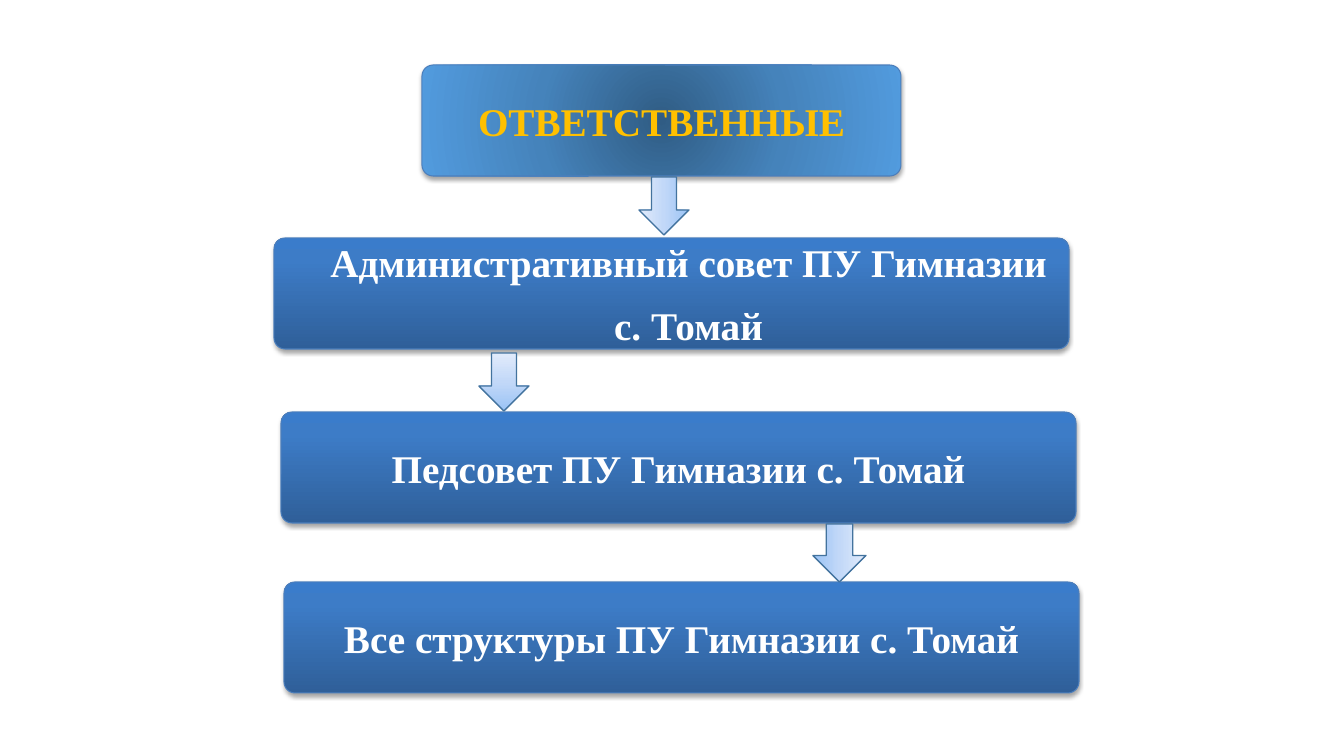
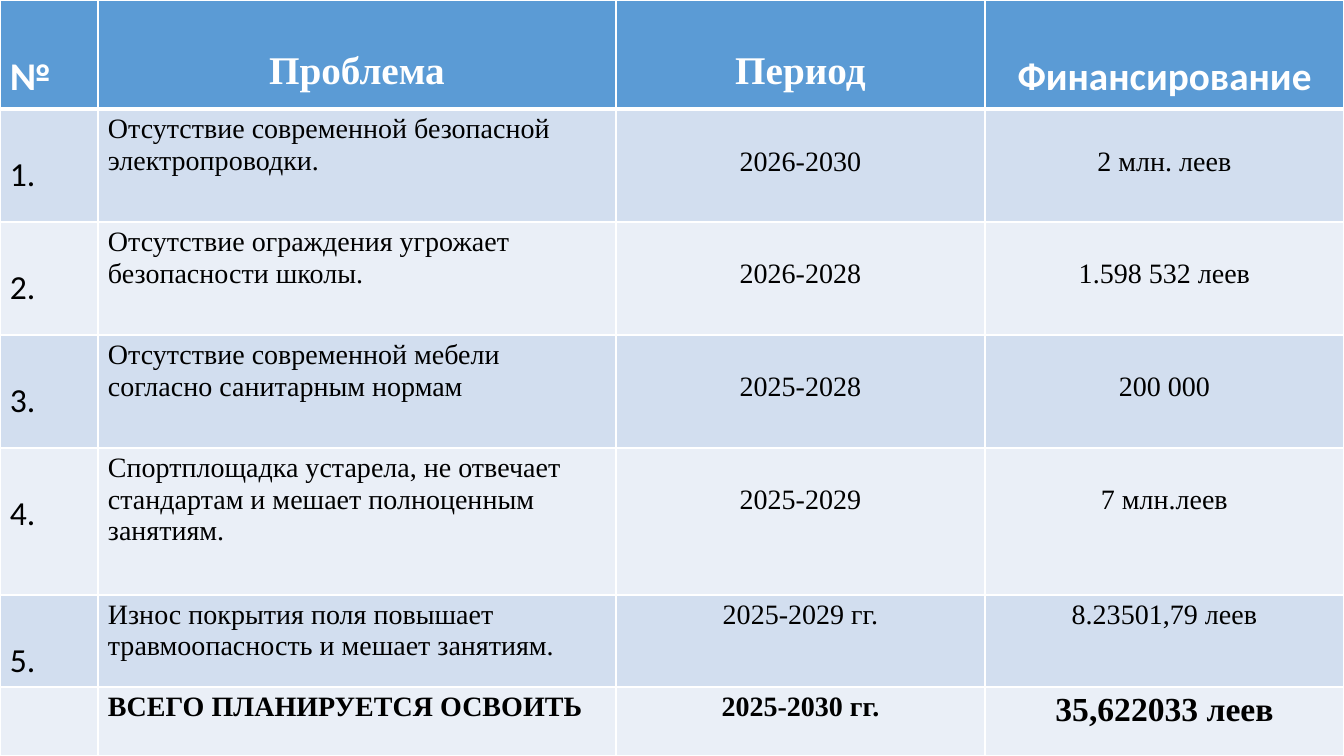
from pptx import Presentation
from pptx.dml.color import RGBColor
from pptx.enum.shapes import MSO_SHAPE
from pptx.enum.text import MSO_ANCHOR, PP_ALIGN
from pptx.oxml import parse_xml
from pptx.oxml.ns import nsdecls, qn
from pptx.util import Pt

SCALE = 12192000 / 1344
SERIF = "Times New Roman"
SANS = "Calibri"
WHITE = RGBColor(0xFF, 0xFF, 0xFF)
BLACK = RGBColor(0x00, 0x00, 0x00)
GOLD = RGBColor(0xFF, 0xC0, 0x00)
BOX_LINE = RGBColor(0x4B, 0x7E, 0xBC)
ARROW_LINE = RGBColor(0x43, 0x73, 0x9E)
HEADER_FILL = RGBColor(0x5B, 0x9B, 0xD5)
DARK_BAND = RGBColor(0xD2, 0xDE, 0xEF)
LIGHT_BAND = RGBColor(0xEA, 0xEF, 0xF7)
TITLE_STOPS = [
    (0, RGBColor(0x30, 0x5C, 0x84)),
    (50, RGBColor(0x45, 0x83, 0xBB)),
    (100, RGBColor(0x52, 0x9B, 0xDE)),
]
BOX_STOPS = [
    (0, RGBColor(0x2F, 0x5F, 0x99)),
    (80, RGBColor(0x3D, 0x7C, 0xC7)),
    (100, RGBColor(0x3A, 0x7C, 0xCB)),
]
ARROW_STOPS = [
    (0, RGBColor(0x9A, 0xC3, 0xF5)),
    (50, RGBColor(0xC2, 0xD8, 0xF8)),
    (100, RGBColor(0xE1, 0xEB, 0xFB)),
]
RADIAL = (
    '<a:path path="circle">'
    '<a:fillToRect l="50000" t="50000" r="50000" b="50000"/></a:path>'
)
HEADERS = [
    ("№", SANS, 53),
    ("Проблема", SERIF, 50),
    ("Период", SERIF, 50),
    ("Финансирование", SANS, 53),
]
PROBLEMS = [
    ("1.", "Отсутствие современной безопасной электропроводки.",
     "2026-2030", "2 млн. леев"),
    ("2.", "Отсутствие ограждения угрожает безопасности школы.",
     "2026-2028", "1.598 532 леев"),
    ("3.", "Отсутствие современной мебели согласно санитарным нормам",
     "2025-2028", "200 000"),
    ("4.", "Спортплощадка устарела, не отвечает стандартам и мешает полноценным занятиям.",
     "2025-2029", "7 млн.леев"),
    ("5.", "Износ покрытия поля повышает травмоопасность и мешает занятиям.",
     "2025-2029 гг.", "8.23501,79 леев"),
    ("", "ВСЕГО ПЛАНИРУЕТСЯ ОСВОИТЬ", "2025-2030 гг.", "35,622033 леев"),
]
COLUMN_WIDTHS = [98, 518, 369, 359]
ROW_HEIGHTS = [109, 113, 113, 113, 147, 92, 69]


def px(length):
    return round(length * SCALE)


class SlideBuilder:
    """Holds the shared style and draws elements on the current slide."""

    def __init__(self):
        self.deck = Presentation()
        self.deck.slide_width = px(1344)
        self.deck.slide_height = px(756)
        self.page = None

    def new_page(self):
        self.page = self.deck.slides.add_slide(self.deck.slide_layouts[6])

    def style(self, paragraph, size, color, bold, font=SERIF):
        for span in paragraph.runs:
            span.font.name = font
            span.font.size = Pt(size)
            span.font.bold = bold
            span.font.color.rgb = color

    def shape(self, kind, left, top, width, height, stops, angle, line, weight):
        shape = self.page.shapes.add_shape(
            kind, px(left), px(top), px(width), px(height))
        marks = "".join(
            f'<a:gs pos="{place * 1000}"><a:srgbClr val="{color}"/></a:gs>'
            for place, color in stops)
        direction = RADIAL if angle is None else (
            f'<a:lin ang="{angle * 60000}" scaled="0"/>')
        gradient = parse_xml(
            f'<a:gradFill {nsdecls("a")} rotWithShape="1">'
            f'<a:gsLst>{marks}</a:gsLst>{direction}</a:gradFill>')
        shape._element.spPr.find(qn("a:prstGeom")).addnext(gradient)
        shape.line.color.rgb = line
        shape.line.width = Pt(weight)
        shape.shadow.inherit = False
        return shape

    def box(self, left, top, width, lines, stops=BOX_STOPS, angle=270,
            color=WHITE, insets=(14, 14)):
        box = self.shape(MSO_SHAPE.ROUNDED_RECTANGLE, left, top, width, 111,
                         stops, angle, BOX_LINE, 0.75)
        box.adjustments[0] = 0.1
        box._element.spPr.find(qn("a:effectLst")).append(parse_xml(
            f'<a:outerShdw {nsdecls("a")} blurRad="{Pt(3.1)}" dist="{Pt(1.8)}"'
            ' dir="5400000" rotWithShape="0"><a:srgbClr val="000000">'
            '<a:alpha val="35000"/></a:srgbClr></a:outerShdw>'))
        frame = box.text_frame
        frame.word_wrap = True
        frame.vertical_anchor = MSO_ANCHOR.MIDDLE
        frame.margin_left, frame.margin_right = map(px, insets)
        frame.margin_top = frame.margin_bottom = 0
        frame.text = "\n".join(lines)
        for para in frame.paragraphs:
            para.alignment = PP_ALIGN.CENTER
            para.space_after = Pt(11)
            self.style(para, 28, color, True)

    def arrow(self, left, top, width, angle):
        self.shape(MSO_SHAPE.DOWN_ARROW, left, top, width, 58,
                   ARROW_STOPS, angle, ARROW_LINE, 1)

    def table(self, widths, heights):
        table = self.page.shapes.add_table(
            len(heights), len(widths), 0, 0,
            px(sum(widths)), px(sum(heights))).table
        table.horz_banding = False
        for column, width in zip(table.columns, widths):
            column.width = px(width)
        for row, height in zip(table.rows, heights):
            row.height = px(height)
        return table

    def cell(self, cell, text, fill, top, size, centered, color=BLACK,
             bold=False, font=SERIF, bottom_line=1):
        cell.fill.solid()
        cell.fill.fore_color.rgb = fill
        cell.margin_left = cell.margin_right = px(10)
        cell.margin_top = px(top)
        cell.margin_bottom = px(2)
        cell.text = text
        para = cell.text_frame.paragraphs[0]
        para.alignment = PP_ALIGN.CENTER if centered else PP_ALIGN.LEFT
        self.style(para, size, color, bold, font)
        properties = cell._tc.get_or_add_tcPr()
        edges = [("L", 1), ("R", 1), ("T", 1), ("B", bottom_line)]
        for index, (side, weight) in enumerate(edges):
            properties.insert(index, parse_xml(
                f'<a:ln{side} {nsdecls("a")} w="{Pt(weight)}"><a:solidFill>'
                f'<a:srgbClr val="{WHITE}"/></a:solidFill></a:ln{side}>'))


def add_responsible_page(builder):
    builder.new_page()
    builder.box(422, 65, 479, ["ОТВЕТСТВЕННЫЕ"], TITLE_STOPS, None, GOLD)
    builder.box(274, 238, 795, ["Административный совет ПУ Гимназии", "с. Томай"],
                insets=(38, 4))
    builder.box(281, 412, 795, ["Педсовет ПУ Гимназии с. Томай"])
    builder.box(284, 582, 795, ["Все структуры ПУ Гимназии с. Томай"])
    builder.arrow(639, 177, 50, 180)
    builder.arrow(479, 353, 50, 270)
    builder.arrow(813, 524, 53, 0)


def add_problem_page(builder):
    builder.new_page()
    table = builder.table(COLUMN_WIDTHS, ROW_HEIGHTS)
    for column, (text, font, top) in enumerate(HEADERS):
        builder.cell(table.cell(0, column), text, HEADER_FILL, top, 28,
                     column > 0, WHITE, True, font, 3)
    for row, (number, problem, period, funding) in enumerate(PROBLEMS, 1):
        fill = DARK_BAND if row % 2 else LIGHT_BAND
        total = row == len(PROBLEMS)
        value_top = 37 if row < 5 else 5
        builder.cell(table.cell(row, 0), number, fill, 5 if total else 46, 24,
                     False, font=SANS)
        builder.cell(table.cell(row, 1), problem, fill, 5, 20, False, bold=total)
        builder.cell(table.cell(row, 2), period, fill, value_top, 20, True, bold=total)
        builder.cell(table.cell(row, 3), funding, fill, value_top,
                     24 if total else 20, True, bold=total)


def main():
    builder = SlideBuilder()
    add_responsible_page(builder)
    add_problem_page(builder)
    builder.deck.save("out.pptx")


if __name__ == "__main__":
    main()
